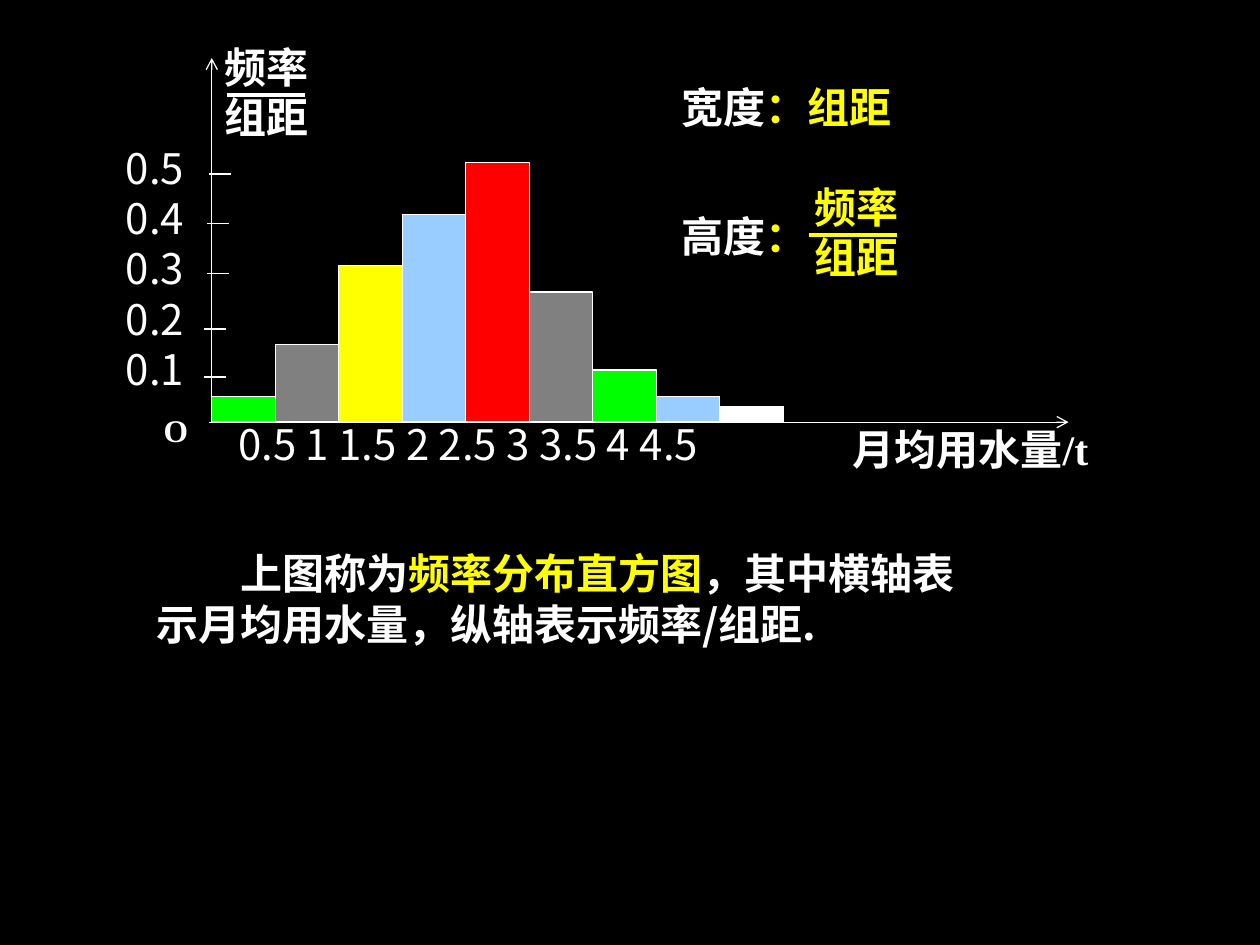
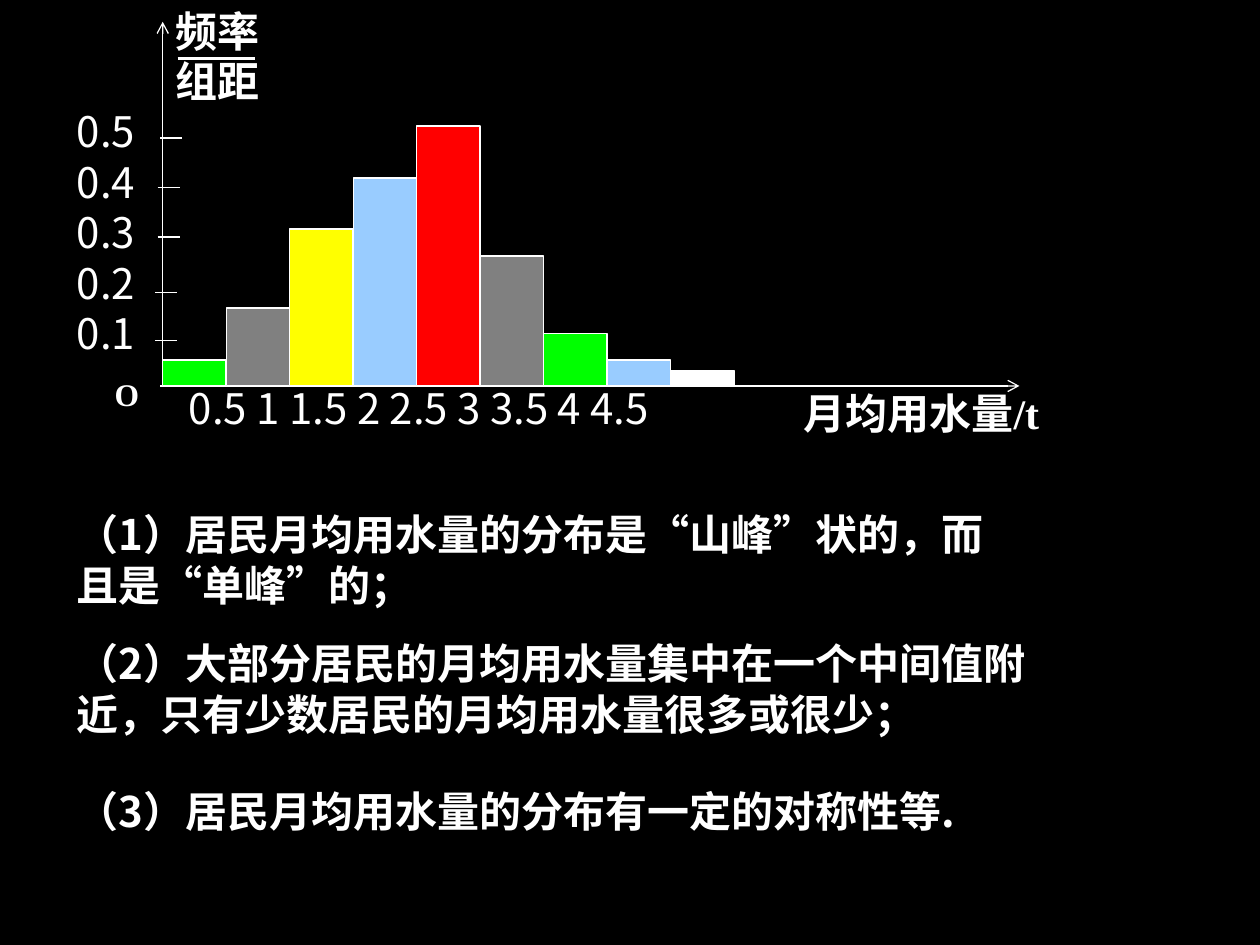
from lxml import etree
from pptx import Presentation
from pptx import util as u
from pptx.dml.color import RGBColor
from pptx.enum import shapes, text
from pptx.oxml.ns import qn

WHITE, YELLOW, BLACK = "FFFFFF", "FFFF00", "000000"
RED, GREEN, BLUE, GREY = "FF0000", "00FF00", "99CCFF", "808080"
SANS, SERIF, LATIN = "Noto Sans CJK SC", "Times New Roman", "Arial"

BAR_WIDTH = 1.28
# Height in cm and colour of each class, from left to right
BARS = [(0.52, GREEN), (1.57, GREY), (3.16, YELLOW), (4.19, BLUE), (5.24, RED),
        (2.62, GREY), (1.05, GREEN), (0.52, BLUE), (0.31, WHITE)]
# Start left of the axis and height above the origin, in cm
TICKS = [(0.05, 5), (0.1, 4), (0.1, 3), (0.15, 1.88), (0.15, 0.91)]
TICK_LENGTH = 0.44
Y_LABELS = ["0.5", "0.4", "0.3", "0.2", "0.1"]
X_LABELS = "0.5 1 1.5 2 2.5 3 3.5 4 4.5"


def colour(value):
    return RGBColor.from_string(value)


class Sheet:
    """Style and current slide; all lengths are centimetres."""

    def __init__(self, deck):
        self.deck = deck
        self.shapes = None
        fill = deck.slide_master.background.fill
        fill.solid()
        fill.fore_color.rgb = colour(BLACK)

    def new_page(self):
        self.page = self.deck.slides.add_slide(self.deck.slide_layouts[6])
        self.shapes = self.page.shapes

    def start_group(self):
        self.shapes = self.page.shapes.add_group_shape().shapes

    def end_group(self):
        self.shapes = self.page.shapes

    def label(self, left, top, width, height, lines, font=SANS, size=24,
              bold=True, ink=WHITE, indent=0, grow=False):
        """Add a text box; a line is a string or a list of (words, colour)."""
        box = self.shapes.add_textbox(u.Cm(left), u.Cm(top), u.Cm(width), u.Cm(height))
        frame = box.text_frame
        frame.word_wrap = True
        if grow:
            frame.auto_size = text.MSO_AUTO_SIZE.SHAPE_TO_FIT_TEXT
        for number, line in enumerate(lines):
            para = frame.add_paragraph() if number else frame.paragraphs[0]
            para.line_spacing = u.Pt(size * 1.2)
            para.font.name, para.font.size, para.font.bold = font, u.Pt(size), bold
            para.font.color.rgb = colour(ink)
            properties = para._p.pPr
            if indent:
                properties.set("indent", str(u.Cm(indent)))
            etree.SubElement(properties.find(qn("a:defRPr")), qn("a:ea"), typeface=SANS)
            if isinstance(line, str):
                para.add_run().text = line
                continue
            for words, shade in line:
                span = para.add_run()
                span.text = words
                span.font.color.rgb = colour(shade)

    def line(self, x1, y1, x2, y2, weight=0.75, ink=WHITE, arrow=False):
        stroke = self.shapes.add_connector(
            shapes.MSO_CONNECTOR.STRAIGHT, u.Cm(x1), u.Cm(y1), u.Cm(x2), u.Cm(y2))
        stroke.line.width = u.Pt(weight)
        stroke.line.color.rgb = colour(ink)
        properties = stroke._element.spPr
        if arrow:
            etree.SubElement(properties.find(qn("a:ln")), qn("a:tailEnd"), type="arrow")
        etree.SubElement(properties, qn("a:effectLst"))

    def bar(self, left, base, height, shade):
        box = self.shapes.add_shape(
            shapes.MSO_SHAPE.RECTANGLE, u.Cm(left), u.Cm(base - height),
            u.Cm(BAR_WIDTH), u.Cm(height))
        box.shadow.inherit = False
        box.fill.solid()
        box.fill.fore_color.rgb = colour(shade)
        box.line.color.rgb = colour(WHITE)
        box.line.width = u.Pt(0.75)

    def fraction(self, left, top, rule_start, rule_length, ink=WHITE):
        self.label(left, top, 2.55, 2.62, ["频率", "组距"], SERIF, ink=ink)
        start, level = left + rule_start, top + 1.2
        self.line(start, level, start + rule_length, level, 2.25, ink)

    def histogram(self, x, y):
        """Draw the water-use histogram with its origin at x, y."""
        self.start_group()
        self.label(x + 12.67, y - 0.1, 5.77, 1.57, ["月均用水量/t"], SERIF)
        self.fraction(x, y - 7.8, 0.3, 1.57)
        self.label(x - 1.98, y - 5.77, 2.57, 5.77, Y_LABELS, bold=False)
        self.label(x + 0.28, y - 0.2, 13.74, 1.57, [X_LABELS], bold=False)
        self.label(x - 1.22, y - 0.35, 1.27, 1.57, ["O"], SERIF, 18)
        self.line(x - 0.05, y, x + 17.27, y, arrow=True)
        self.line(x, y, x, y - 7.34, arrow=True)
        for start, level in TICKS:
            self.line(x - start, y - level, x - start + TICK_LENGTH, y - level)
        for number, (height, shade) in enumerate(BARS):
            self.bar(x + number * BAR_WIDTH, y, height, shade)
        self.end_group()


def histogram_page(sheet):
    sheet.new_page()
    sheet.label(2.9, 10.92, 16.7, 2.29, [[
        ("上图称为", WHITE), ("频率分布直方图", YELLOW),
        ("，其中横轴表示月均用水量，纵轴表示频率/组距.", WHITE)]],
        indent=1.69, grow=True)
    sheet.histogram(4.27, 8.51)
    sheet.label(13.49, 1.52, 5.21, 1.27, [[("宽度", WHITE), ("：组距", YELLOW)]],
                LATIN, grow=True)
    sheet.start_group()
    sheet.label(13.49, 4.11, 2.79, 1.27, [[("高度", WHITE), ("：", YELLOW)]],
                LATIN)
    sheet.fraction(16.18, 3.53, 0.13, 1.78, YELLOW)
    sheet.end_group()


def findings_page(sheet):
    sheet.new_page()
    sheet.histogram(3.28, 7.78)
    findings = [
        (10.13, 19, 2.29, "（1）居民月均用水量的分布是“山峰”状的，而且是“单峰”的；"),
        (12.73, 19.76, 2.29, "（2）大部分居民的月均用水量集中在一个中间值附近，"
                             "只有少数居民的月均用水量很多或很少；"),
        (15.72, 19.1, 1.27, "（3）居民月均用水量的分布有一定的对称性等."),
    ]
    for top, width, height, finding in findings:
        sheet.label(1.3, top, width, height, [finding], grow=True)


def main():
    deck = Presentation()
    deck.slide_width, deck.slide_height = u.Cm(25.4), u.Cm(19.05)
    sheet = Sheet(deck)
    histogram_page(sheet)
    findings_page(sheet)
    deck.save("out.pptx")


if __name__ == "__main__":
    main()
